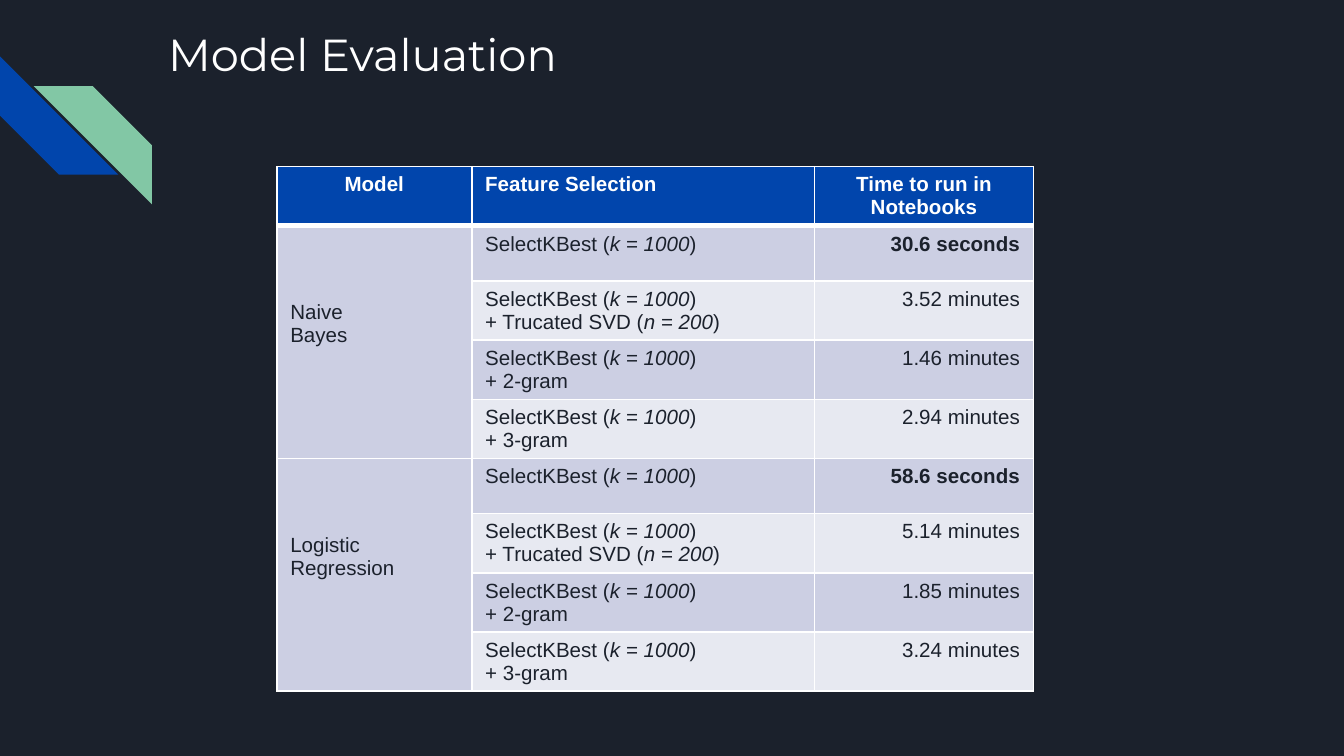
from lxml.etree import SubElement
from pptx import Presentation
from pptx.dml.color import RGBColor
from pptx.enum.shapes import MSO_SHAPE
from pptx.enum.text import MSO_ANCHOR, MSO_AUTO_SIZE, PP_ALIGN
from pptx.oxml.ns import qn
from pptx.util import Inches, Pt

NAVY = RGBColor(0x1B, 0x21, 0x2C)
BLUE = RGBColor(0x01, 0x45, 0xAC)
GREEN = RGBColor(0x82, 0xC7, 0xA5)
WHITE = RGBColor(0xFF, 0xFF, 0xFF)
BAND_DARK = RGBColor(0xCC, 0xCF, 0xE3)
BAND_LIGHT = RGBColor(0xE7, 0xE9, 0xF1)

SLIDE_WIDTH = 10
SLIDE_HEIGHT = SLIDE_WIDTH * 9 / 16

K_BEST = ("SelectKBest (", "k = 1000", ")")
FEATURES = [
    [K_BEST],
    [K_BEST, ("+ Trucated SVD (", "n = 200", ")")],
    [K_BEST, ("+ 2-gram",)],
    [K_BEST, ("+ 3-gram",)],
]
HEADERS = [
    ("Model", PP_ALIGN.CENTER),
    ("Feature Selection", PP_ALIGN.LEFT),
    ("Time to run in Notebooks", PP_ALIGN.CENTER),
]
MODELS = [
    (("Naive", "Bayes"),
     ("30.6 seconds", "3.52 minutes", "1.46 minutes", "2.94 minutes")),
    (("Logistic", "Regression"),
     ("58.6 seconds", "5.14 minutes", "1.85 minutes", "3.24 minutes")),
]
COLUMN_WIDTHS = (1.45, 2.55, 1.63)
ROW_HEIGHT = 0.41


class SlideBuilder:
    body_font = "Arial"
    title_font = "Montserrat"
    body_size = 11
    title_size = 24

    def __init__(self, presentation):
        self.slide = presentation.slides.add_slide(presentation.slide_layouts[5])
        background = self.slide.background.fill
        background.solid()
        background.fore_color.rgb = NAVY

    def run(self, paragraph, text, font_name, size, color, bold=False, italic=False):
        run = paragraph.add_run()
        run.text = text
        font = run.font
        font.name, font.size = font_name, Pt(size)
        font.bold, font.italic = bold, italic
        font.color.rgb = color

    def title(self, text, left, top, width, height):
        title = self.slide.shapes.title
        title.left, title.top = Inches(left), Inches(top)
        title.width, title.height = Inches(width), Inches(height)
        frame = title.text_frame
        frame.auto_size = MSO_AUTO_SIZE.NONE
        frame.vertical_anchor = MSO_ANCHOR.TOP
        frame.margin_left = frame.margin_right = Inches(0.1)
        frame.margin_top = frame.margin_bottom = Inches(0.1)
        paragraph = frame.paragraphs[0]
        paragraph.alignment = PP_ALIGN.LEFT
        self.run(paragraph, text, self.title_font, self.title_size, WHITE)

    def stripe(self, left, top, size, rotation, color):
        stripe = self.slide.shapes.add_shape(
            MSO_SHAPE.DIAGONAL_STRIPE,
            Inches(left), Inches(top), Inches(size), Inches(size))
        stripe.rotation = rotation
        stripe.shadow.inherit = False
        stripe.fill.solid()
        stripe.fill.fore_color.rgb = color
        stripe.line.fill.background()

    def table(self, left, top, column_widths, row_count, row_height):
        table = self.slide.shapes.add_table(
            row_count, len(column_widths), Inches(left), Inches(top),
            Inches(sum(column_widths)), Inches(row_height * row_count)).table
        table.horz_banding = False
        for column, width in zip(table.columns, column_widths):
            column.width = Inches(width)
        for row in table.rows:
            row.height = Inches(row_height)
        return table

    def borders(self, cell, top=1, bottom=1):
        properties = cell._tc.get_or_add_tcPr()
        for side, width in (("L", 1), ("R", 1), ("T", top), ("B", bottom)):
            line = SubElement(properties, qn(f"a:ln{side}"), w=str(Pt(width)))
            fill = SubElement(line, qn("a:solidFill"))
            SubElement(fill, qn("a:srgbClr"), val=str(WHITE))

    def cell(self, cell, lines, fill, color=NAVY, align=PP_ALIGN.LEFT, bold=False):
        cell.fill.solid()
        cell.fill.fore_color.rgb = fill
        frame = cell.text_frame
        for index, parts in enumerate(lines):
            paragraph = frame.add_paragraph() if index else frame.paragraphs[0]
            paragraph.alignment = align
            for position, part in enumerate(parts):
                self.run(paragraph, part, self.body_font, self.body_size, color,
                         bold, italic=position == 1)


def main():
    presentation = Presentation()
    presentation.slide_width = Inches(SLIDE_WIDTH)
    presentation.slide_height = Inches(SLIDE_HEIGHT)

    builder = SlideBuilder(presentation)
    builder.stripe(0, 0.42, 0.88, 270, BLUE)
    builder.stripe(0.25, 0.64, 0.88, 90, GREEN)
    builder.title("Model Evaluation", 1.15, 0.1, 7.7, 1)

    group_size = len(FEATURES)
    row_count = 1 + group_size * len(MODELS)
    results = builder.table(2.06, 1.24, COLUMN_WIDTHS, row_count, ROW_HEIGHT)
    for row in range(row_count):
        for column in range(len(COLUMN_WIDTHS)):
            builder.borders(results.cell(row, column),
                            top=3 if row == 1 else 1,
                            bottom=3 if row == 0 else 1)

    for column, (header, align) in enumerate(HEADERS):
        builder.cell(results.cell(0, column), [(header,)], BLUE, WHITE, align, True)

    for group, (model, times) in enumerate(MODELS):
        first_row = 1 + group * group_size
        model_cell = results.cell(first_row, 0)
        model_cell.merge(results.cell(first_row + group_size - 1, 0))
        model_cell.margin_top = Inches(0.56)
        builder.cell(model_cell, [(word,) for word in model], BAND_DARK)
        for offset, (feature, time) in enumerate(zip(FEATURES, times)):
            row = first_row + offset
            band = BAND_LIGHT if offset % 2 else BAND_DARK
            builder.cell(results.cell(row, 1), feature, band)
            builder.cell(results.cell(row, 2), [(time,)], band,
                         align=PP_ALIGN.RIGHT, bold=offset == 0)

    presentation.save("out.pptx")


if __name__ == "__main__":
    main()
